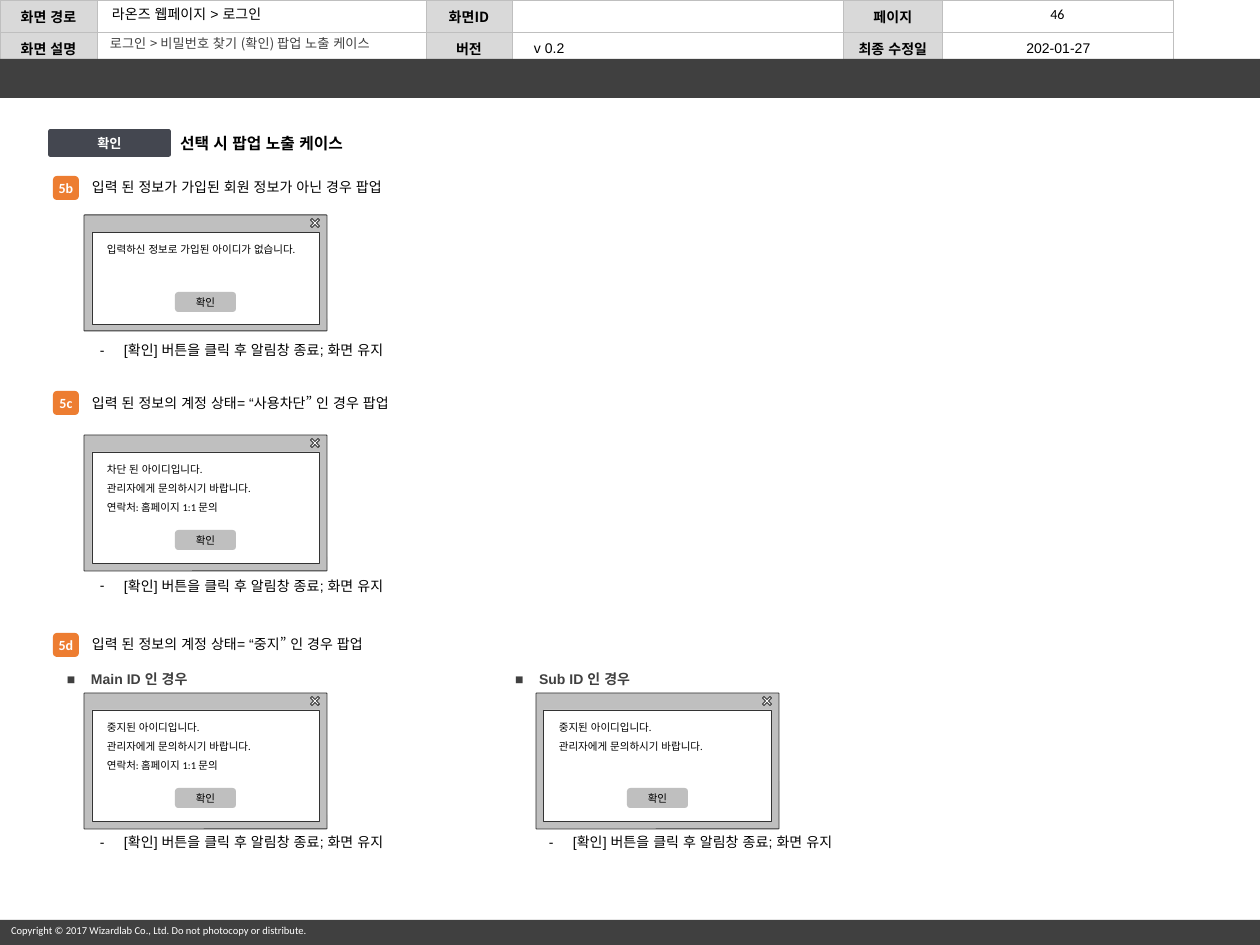
from pptx import Presentation
from pptx.dml.color import RGBColor
from pptx.enum.lang import MSO_LANGUAGE_ID as Lang
from pptx.enum.shapes import MSO_SHAPE as Kind
from pptx.enum.text import MSO_ANCHOR as Anchor, MSO_AUTO_SIZE as Fit, PP_ALIGN as Align
from pptx.oxml.ns import qn
from pptx.util import Emu, Pt
from lxml.etree import SubElement

SANS, BODY, KOR = "Arial", "Calibri", "Noto Sans CJK KR"
BLACK, WHITE, DARK, GRAY, EDGE = "000000", "FFFFFF", "404040", "BFBFBF", "333333"
PAD = (13, 6, 13, 6)

COLS = [97, 329, 86, 331, 100, 231]
HEAD = [
    ["화면 경로", "", "화면ID", "", "페이지", ""],
    ["화면 설명", "", "버전", "v 0.2", "최종 수정일", "202-01-27"],
]
BARS = [(59, 39), (920, 25)]
CASES = [
    ("5b", 176, 173, "입력 된 정보가 가입된 회원 정보가 아닌 경우 팝업"),
    ("5c", 391, 388, "입력 된 정보의 계정 상태= “사용차단” 인 경우 팝업"),
    ("5d", 633, 630, "입력 된 정보의 계정 상태= “중지” 인 경우 팝업"),
]
ASK = "관리자에게 문의하시기 바랍니다."
CALL = "연락처: 홈페이지 1:1 문의"
STOP = "중지된 아이디입니다."
POPUPS = [
    (84, 215, 116, 87, 336, ["입력하신 정보로 가입된 아이디가 없습니다."]),
    (84, 435, 136, 87, 571, ["차단 된 아이디입니다.", ASK, CALL]),
    (84, 693, 136, 87, 828, [STOP, ASK, CALL]),
    (536, 693, 136, 536, 828, [STOP, ASK]),
]
NOTE = "[확인] 버튼을 클릭 후 알림창 종료; 화면 유지"
TYPES = [(62, 141, "Main ID 인 경우"), (510, 132, "Sub ID 인 경우")]
CROSS = [(-9, -6), (-3, 0), (-9, 6), (-6, 9), (0, 3), (6, 9),
         (9, 6), (3, 0), (9, -6), (6, -9), (0, -3), (-6, -9)]


def px(n):
    return Emu(round(n * 914400 / 126))


def tint(hue):
    return RGBColor.from_string(hue)


def style(para, size, hue=BLACK, face=SANS, bold=False, align=None):
    para.alignment = align
    font = para.font
    font.size, font.name, font.bold = Pt(size), face, bold
    font.color.rgb = tint(hue)
    for run in para.runs:
        run.font.language_id = Lang.KOREAN


def bullet(para, mark):
    prop = para._p.get_or_add_pPr()
    prop.set("marL", str(px(24)))
    prop.set("indent", str(-px(24)))
    SubElement(prop, qn("a:buFont")).set("typeface", SANS)
    SubElement(prop, qn("a:buChar")).set("char", mark)


def write(shape, lines, size, hue=BLACK, face=SANS, bold=False, align=None,
          pad=PAD, wrap=True, anchor=Anchor.TOP, grow=False, space=None, mark=None):
    frame = shape.text_frame
    frame.word_wrap, frame.vertical_anchor = wrap, anchor
    frame.auto_size = Fit.SHAPE_TO_FIT_TEXT if grow else Fit.NONE
    frame.margin_left, frame.margin_top, frame.margin_right, frame.margin_bottom = map(px, pad)
    frame.text = "\n".join(lines)
    for para in frame.paragraphs:
        if space:
            para.line_spacing = space
        if mark:
            bullet(para, mark)
        style(para, size, hue, face, bold, align)


def label(x, y, w, h, text, size=8, **look):
    look = {"grow": True, **look}
    write(slide.shapes.add_textbox(*map(px, (x, y, w, h))), [text], size, **look)


def paint(shape, fill, line=None, width=0.5):
    shape.shadow.inherit = False
    shape.fill.solid()
    shape.fill.fore_color.rgb = tint(fill)
    if line:
        shape.line.color.rgb = tint(line)
        shape.line.width = Pt(width)
    else:
        shape.line.fill.background()


def block(home, kind, x, y, w, h, fill, line=None, width=0.5, adj=None):
    shape = home.add_shape(kind, *map(px, (x, y, w, h)))
    if adj is not None:
        shape.adjustments[0] = adj
    paint(shape, fill, line, width)
    return shape


def border(cell):
    prop = cell._tc.get_or_add_tcPr()
    for n, side in enumerate(("lnL", "lnR", "lnT", "lnB")):
        line = prop.makeelement(qn("a:" + side), {"w": str(Pt(0.5))})
        fill = SubElement(line, qn("a:solidFill"))
        SubElement(fill, qn("a:srgbClr")).set("val", GRAY)
        prop.insert(n, line)


def header():
    table = slide.shapes.add_table(2, 6, 0, 0, px(sum(COLS)), px(50)).table
    table.first_row = table.horz_banding = False
    for col, wide in zip(table.columns, COLS):
        col.width = px(wide)
    for r, row in enumerate(HEAD):
        table.rows[r].height = px(25)
        for c, text in enumerate(row):
            cell = table.cell(r, c)
            name = c % 2 == 0
            cell.text = text
            cell.vertical_anchor = Anchor.MIDDLE
            cell.margin_left = cell.margin_right = px(9)
            cell.margin_top = cell.margin_bottom = px(6)
            if name:
                cell.fill.solid()
                cell.fill.fore_color.rgb = tint("D9D9D9")
            else:
                cell.fill.background()
            para = cell.text_frame.paragraphs[0]
            if c == 3:
                para._p.get_or_add_pPr().set("marL", str(px(13)))
            style(para, 8, face=KOR if text == "화면ID" else SANS, bold=name,
                  align=None if c == 3 else Align.CENTER)
            border(cell)


def popup(x, y, h, lines):
    home = slide.shapes.add_group_shape().shapes
    block(home, Kind.ROUNDED_RECTANGLE, x, y, 243, h, GRAY, EDGE, adj=0.006)
    body = block(home, Kind.RECTANGLE, x + 8, y + 17, 228, h - 24, WHITE, EDGE)
    write(body, lines, 6, face=BODY, align=Align.LEFT, pad=(15, 5, 10, 49), space=1.5)
    spots = [(2 * (x + 231) + a, 2 * (y + 8) + b) for a, b in CROSS]
    pen = home.build_freeform(*spots[0], scale=px(1) / 2)
    pen.add_line_segments(spots[1:])
    paint(pen.convert_to_shape(), WHITE, EDGE)
    key = block(home, Kind.ROUNDED_RECTANGLE, x + 91, y + h * 9 // 10 - 27, 61, 20, GRAY)
    write(key, ["확인"], 6, face=BODY, align=Align.CENTER, anchor=Anchor.MIDDLE)


deck = Presentation()
deck.slide_width, deck.slide_height = px(1260), px(945)
slide = deck.slides.add_slide(deck.slide_layouts[6])

header()
for y, h in BARS:
    block(slide.shapes, Kind.RECTANGLE, 0, y, 1260, h, DARK)
label(-2, 918, 372, 25, "Copyright © 2017 Wizardlab Co., Ltd. Do not photocopy or distribute.",
      6, hue=WHITE, face=BODY, wrap=False)
label(955, 0, 205, 30, "46", face=BODY, align=Align.CENTER)
label(99, 0, 326, 30, "라온즈 웹페이지 > 로그인")
label(97, 29, 329, 30, "로그인 > 비밀번호 찾기 (확인) 팝업 노출 케이스", 7.5, hue=DARK, face=KOR,
      anchor=Anchor.MIDDLE, grow=False, space=0.9)

label(167, 128, 207, 32, "선택 시 팝업 노출 케이스", 9, bold=True, wrap=False)
main = block(slide.shapes, Kind.ROUNDED_RECTANGLE, 49, 130, 121, 26, "444750", "444750", 1, 0.05)
write(main, ["확인"], 7.5, WHITE, BODY, True, Align.CENTER, anchor=Anchor.MIDDLE)

for code, top, y, text in CASES:
    badge = block(slide.shapes, Kind.ROUNDED_RECTANGLE, 53, top, 26, 24, "ED7D31")
    write(badge, [code], 8, WHITE, BODY, True, Align.CENTER, (0, 0, 0, 0), False, Anchor.MIDDLE)
    label(79, y, 381, 30, text)
for x, w, text in TYPES:
    label(x, 666, w, 26, text, hue=DARK, bold=True, pad=(5, 5, 5, 5), wrap=False, mark="■")
for x, y, h, left, foot, lines in POPUPS:
    popup(x, y, h, lines)
    label(left, foot, 338, 30, NOTE, wrap=False, mark="-")

deck.save("out.pptx")
